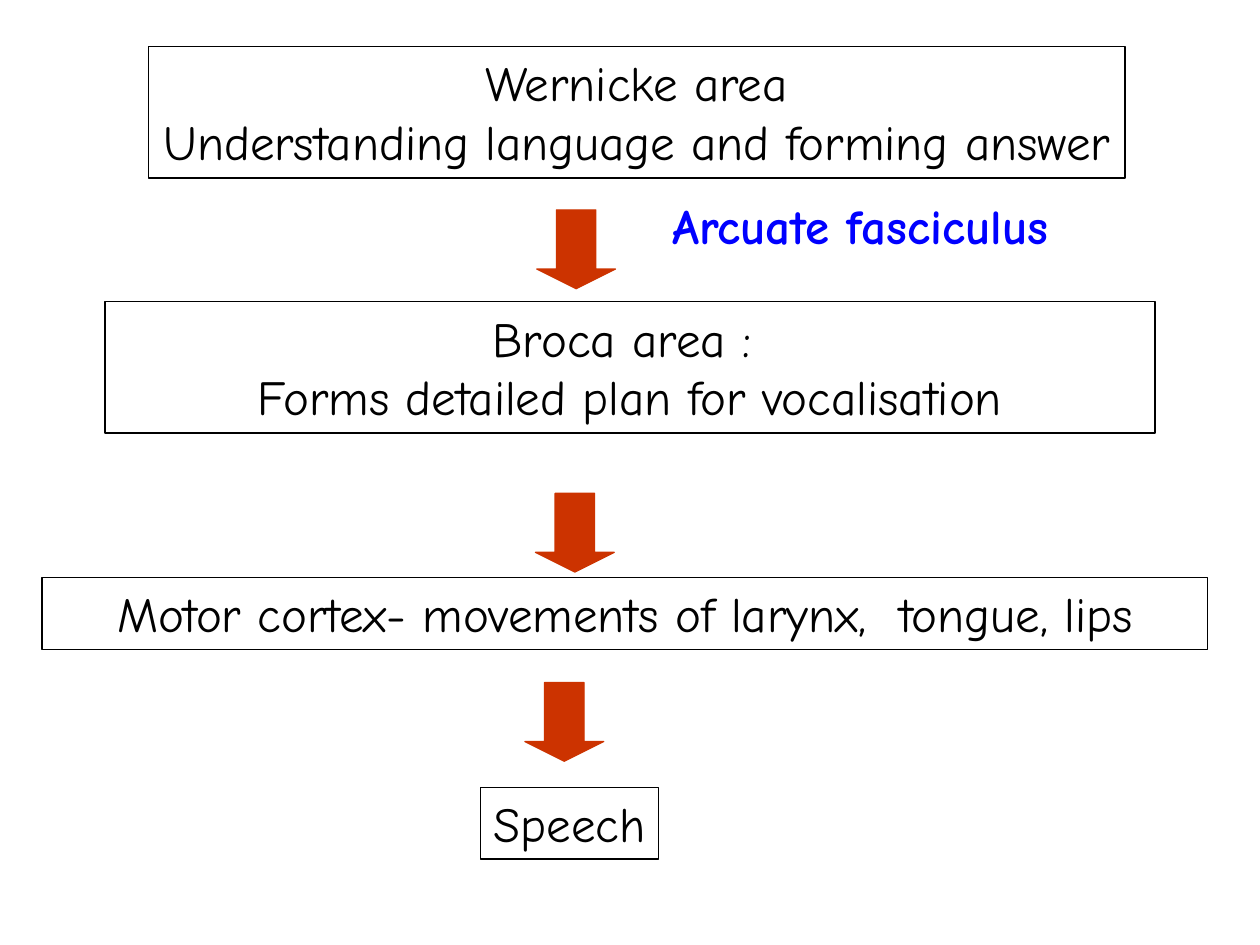
from pptx import Presentation
from pptx.dml.color import RGBColor
from pptx.enum.shapes import MSO_SHAPE
from pptx.enum.text import MSO_ANCHOR, MSO_AUTO_SIZE, PP_ALIGN
from pptx.util import Pt

BLACK = RGBColor(0x00, 0x00, 0x00)
BLUE = RGBColor(0x00, 0x00, 0xFF)
RED = RGBColor(0xCC, 0x33, 0x00)
FONT = "Comic Neue"


def write_text(shape, text, size=28, color=BLACK, bold=False, wrap=True):
    """Fill a shape with centred text, one paragraph per line."""
    frame = shape.text_frame
    frame.text = text
    frame.word_wrap = wrap
    frame.auto_size = MSO_AUTO_SIZE.SHAPE_TO_FIT_TEXT
    frame.vertical_anchor = MSO_ANCHOR.TOP
    for paragraph in frame.paragraphs:
        paragraph.alignment = PP_ALIGN.CENTER
        paragraph.font.name = FONT
        paragraph.font.size = Pt(size)
        paragraph.font.bold = bold
        paragraph.font.color.rgb = color


presentation = Presentation()
presentation.slide_width = Pt(720)
presentation.slide_height = Pt(540)
slide = presentation.slides.add_slide(presentation.slide_layouts[6])

# Stages of speech: text, left, top, width, height, wrap
stages = [
    ("Wernicke area\nUnderstanding language and forming answer", 84.8, 26.7, 558, 75, False),
    ("Broca area : \nForms detailed plan for vocalisation", 60, 172.5, 600, 75, True),
    ("Motor cortex- movements of larynx,  tongue, lips", 24, 330, 666, 41, True),
    ("Speech", 274.5, 450, 102, 41, False),
]
for text, left, top, width, height, wrap in stages:
    box = slide.shapes.add_shape(
        MSO_SHAPE.RECTANGLE, Pt(left), Pt(top), Pt(width), Pt(height))
    box.shadow.inherit = False
    box.fill.background()
    box.line.color.rgb = BLACK
    box.line.width = Pt(0.75)
    write_text(box, text, wrap=wrap)

# Arrows between the stages
for left, top in [(306.75, 120), (306, 281.9), (300, 390)]:
    arrow = slide.shapes.add_shape(
        MSO_SHAPE.DOWN_ARROW, Pt(left), Pt(top), Pt(45), Pt(45))
    arrow.adjustments[0] = 0.5
    arrow.adjustments[1] = 0.25
    arrow.shadow.inherit = False
    arrow.fill.solid()
    arrow.fill.fore_color.rgb = RED
    arrow.line.color.rgb = RED
    arrow.line.width = Pt(0.75)

# Name of the pathway beside the first arrow
pathway = slide.shapes.add_textbox(Pt(376), Pt(108), Pt(241), Pt(41))
write_text(pathway, "Arcuate fasciculus ", color=BLUE, bold=True, wrap=False)

presentation.save("out.pptx")
